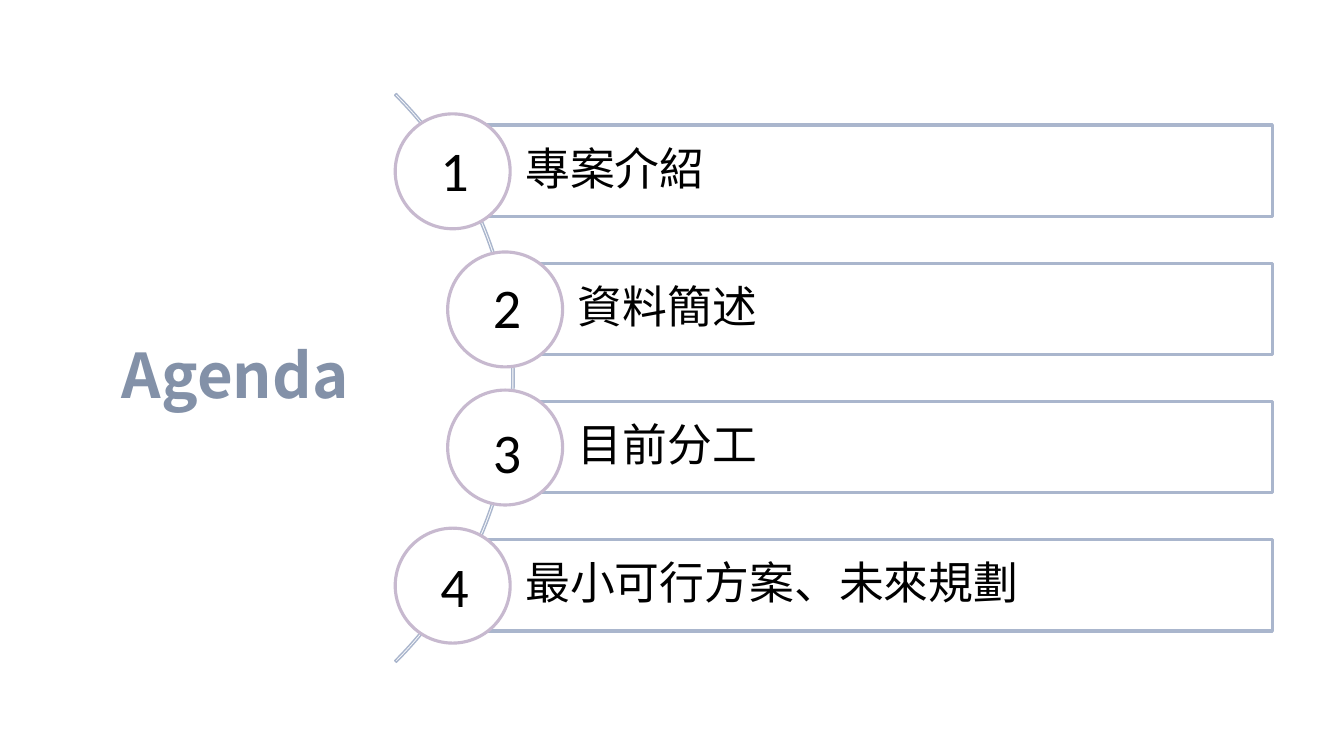
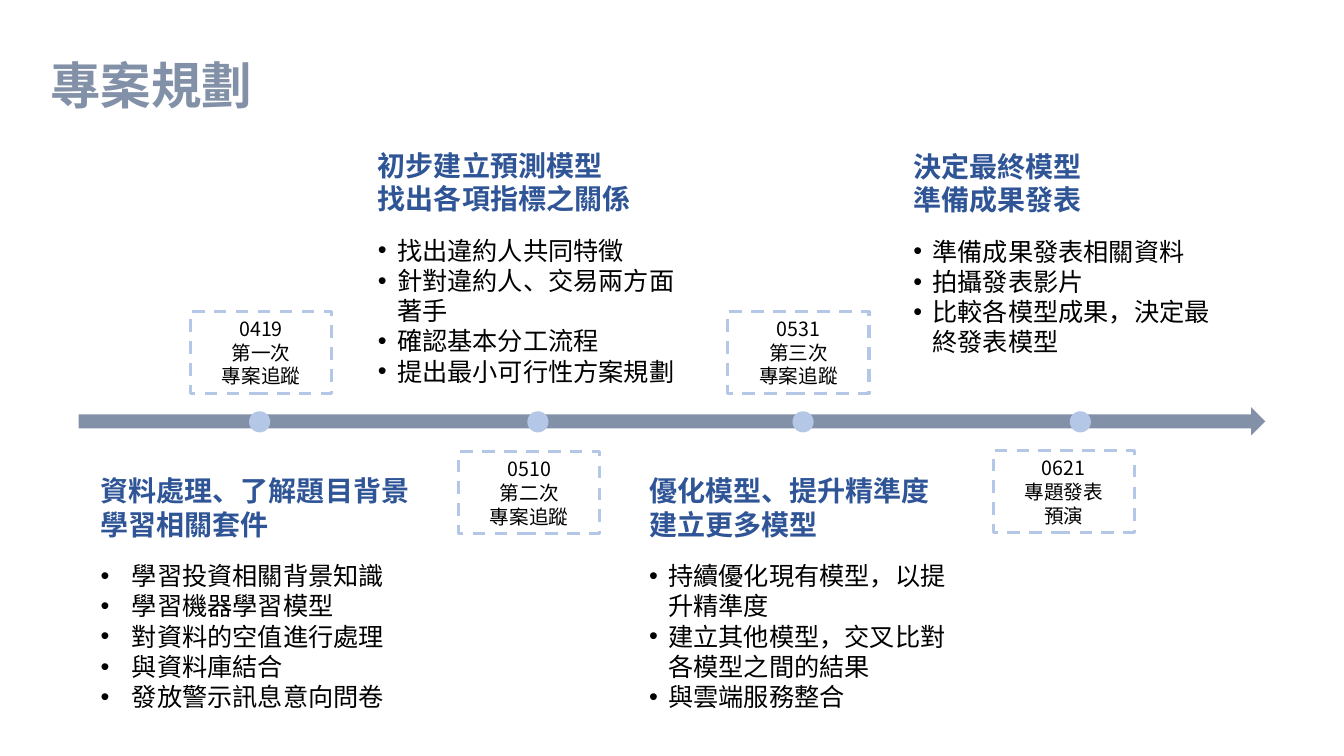
import pptx
import pptx.util
import pptx.oxml.ns
import lxml.etree
from pptx.dml.color import RGBColor
from pptx.enum.dml import MSO_LINE
from pptx.enum.shapes import MSO_SHAPE
from pptx.enum.text import MSO_ANCHOR, MSO_AUTO_SIZE, PP_ALIGN

PX = 9144
SLIDE_SIZE = (1333, 750)
NOTO = "Noto Sans CJK SC"
COLORS = {
    "title": "8391A8", "heading": "2F5597", "body": "000000", "paper": "FFFFFF",
    "bar": "AAB6CD", "ring": "C7B9CF", "milestone": "B4C7E7",
}

AGENDA = [
    ("專案介紹", 392, 130),
    ("資料簡述", 444, 265),
    ("目前分工", 444, 409),
    ("最小可行方案、未來規劃", 392, 542),
]
AGENDA_PITCH = 137
CIRCLE, BAR_HEIGHT, BAR_RIGHT = 114, 91, 1262

MILESTONES = [
    (["0419", "第一次", "專案追蹤"], 247, 189, 309),
    (["0510", "第二次", "專案追蹤"], 523, 455, 448),
    (["0531", "第三次", "專案追蹤"], 786, 722, 309),
    (["0621", "專題發表", "預演"], 1061, 985, 447),
]
PHASES = [
    (["資料處理、了解題目背景", "學習相關套件"],
     ["學習投資相關背景知識", "學習機器學習模型", "對資料的空值進行處理",
      "與資料庫結合", "發放警示訊息意向問卷"],
     (90, 465, 337, 249), 31),
    (["初步建立預測模型", "找出各項指標之關係"],
     ["找出違約人共同特徵", "針對違約人、交易兩方面著手", "確認基本分工流程",
      "提出最小可行性方案規劃"],
     (365, 142, 320, 249), 19),
    (["優化模型、提升精準度", "建立更多模型"],
     ["持續優化現有模型，以提升精準度", "建立其他模型，交叉比對各模型之間的結果",
      "與雲端服務整合"],
     (634, 465, 337, 249), 19),
    (["決定最終模型", "準備成果發表"],
     ["準備成果發表相關資料", "拍攝發表影片", "比較各模型成果，決定最終發表模型"],
     (896, 143, 320, 249), 19),
]


def emu(*lengths):
    return [length * PX for length in lengths]


def rgb(name):
    return RGBColor.from_string(COLORS[name])


def write(frame, lines, size, color="body", bold=False, font=NOTO, align=PP_ALIGN.LEFT,
          anchor=MSO_ANCHOR.TOP, spacing=None, after=0, bullet=0, inset=10):
    frame.word_wrap = True
    frame.auto_size = MSO_AUTO_SIZE.NONE
    frame.vertical_anchor = anchor
    frame.margin_left = inset * PX
    for line in lines:
        paragraph = frame.add_paragraph() if frame.text else frame.paragraphs[0]
        paragraph.alignment = align
        paragraph.line_spacing = spacing
        run = paragraph.add_run()
        run.text = line
        run.font.name = font
        run.font.size = pptx.util.Pt(size)
        run.font.bold = bold
        run.font.color.rgb = rgb(color)
        east_asian = lxml.etree.SubElement(run.font._element, pptx.oxml.ns.qn("a:ea"))
        east_asian.set("typeface", font)
        if bullet:
            properties = paragraph._p.get_or_add_pPr()
            properties.set("marL", str(bullet * PX))
            properties.set("indent", str(-bullet * PX))
            face = lxml.etree.SubElement(properties, pptx.oxml.ns.qn("a:buFont"))
            face.set("typeface", "Arial")
            mark = lxml.etree.SubElement(properties, pptx.oxml.ns.qn("a:buChar"))
            mark.set("char", "•")
    paragraph.space_after = pptx.util.Pt(after)


def add_shape(slide, kind, box, fill=None, line=None, width=2.25):
    shape = slide.shapes.add_shape(kind, *emu(*box))
    shape.shadow.inherit = False
    if fill:
        shape.fill.solid()
        shape.fill.fore_color.rgb = rgb(fill)
    else:
        shape.fill.background()
    if line:
        shape.line.color.rgb = rgb(line)
        shape.line.width = pptx.util.Pt(width)
    else:
        shape.line.fill.background()
    return shape


def add_titled_slide(deck, title, box, size):
    slide = deck.slides.add_slide(deck.slide_layouts[5])
    heading = slide.shapes.title
    heading.left, heading.top, heading.width, heading.height = emu(*box)
    write(heading.text_frame, [title], size, "title", bold=True,
          anchor=MSO_ANCHOR.MIDDLE, spacing=0.9)
    return slide


def build_agenda(deck):
    slide = add_titled_slide(deck, "Agenda", (111, 303, 280, 145), 44)
    arc = add_shape(slide, MSO_SHAPE.BLOCK_ARC, (-288, -24, 798, 798), line="bar", width=1)
    for index, value in enumerate((189, 27, 0.003)):
        arc.adjustments[index] = value
    for index, (topic, circle_left, number_top) in enumerate(AGENDA):
        bar_left = circle_left + CIRCLE // 2
        bar_top = 124 + index * AGENDA_PITCH
        bar = add_shape(slide, MSO_SHAPE.RECTANGLE,
                        (bar_left, bar_top, BAR_RIGHT - bar_left, BAR_HEIGHT), line="bar")
        write(bar.text_frame, [topic], 32, anchor=MSO_ANCHOR.MIDDLE, spacing=0.9, inset=72)
        circle_top = bar_top - (CIRCLE - BAR_HEIGHT) // 2
        add_shape(slide, MSO_SHAPE.OVAL, (circle_left, circle_top, CIRCLE, CIRCLE),
                  "paper", "ring")
        number = slide.shapes.add_textbox(*emu(circle_left + 35, number_top, 58, 77))
        write(number.text_frame, [str(index + 1)], 40, font="Calibri")


def build_plan(deck):
    slide = add_titled_slide(deck, "專案規劃", (40, 15, 1150, 145), 36)
    add_shape(slide, MSO_SHAPE.RIGHT_ARROW, (78, 404, 1177, 28), "title")
    for lines, dot_left, box_left, box_top in MILESTONES:
        add_shape(slide, MSO_SHAPE.OVAL, (dot_left, 408, 21, 21), "milestone")
        milestone = add_shape(slide, MSO_SHAPE.RECTANGLE, (box_left, box_top, 140, 81),
                              "paper", "milestone")
        milestone.line.dash_style = MSO_LINE.DASH
        write(milestone.text_frame, lines, 14, align=PP_ALIGN.CENTER,
              spacing=pptx.util.Pt(17))
    for headings, tasks, box, indent in PHASES:
        phase = slide.shapes.add_textbox(*emu(*box)).text_frame
        write(phase, headings, 20, "heading", bold=True, spacing=pptx.util.Pt(24), after=14)
        write(phase, tasks, 18, spacing=pptx.util.Pt(21.6), bullet=indent)


def main():
    deck = pptx.Presentation()
    deck.slide_width, deck.slide_height = emu(*SLIDE_SIZE)
    build_agenda(deck)
    build_plan(deck)
    deck.save("out.pptx")


if __name__ == "__main__":
    main()
